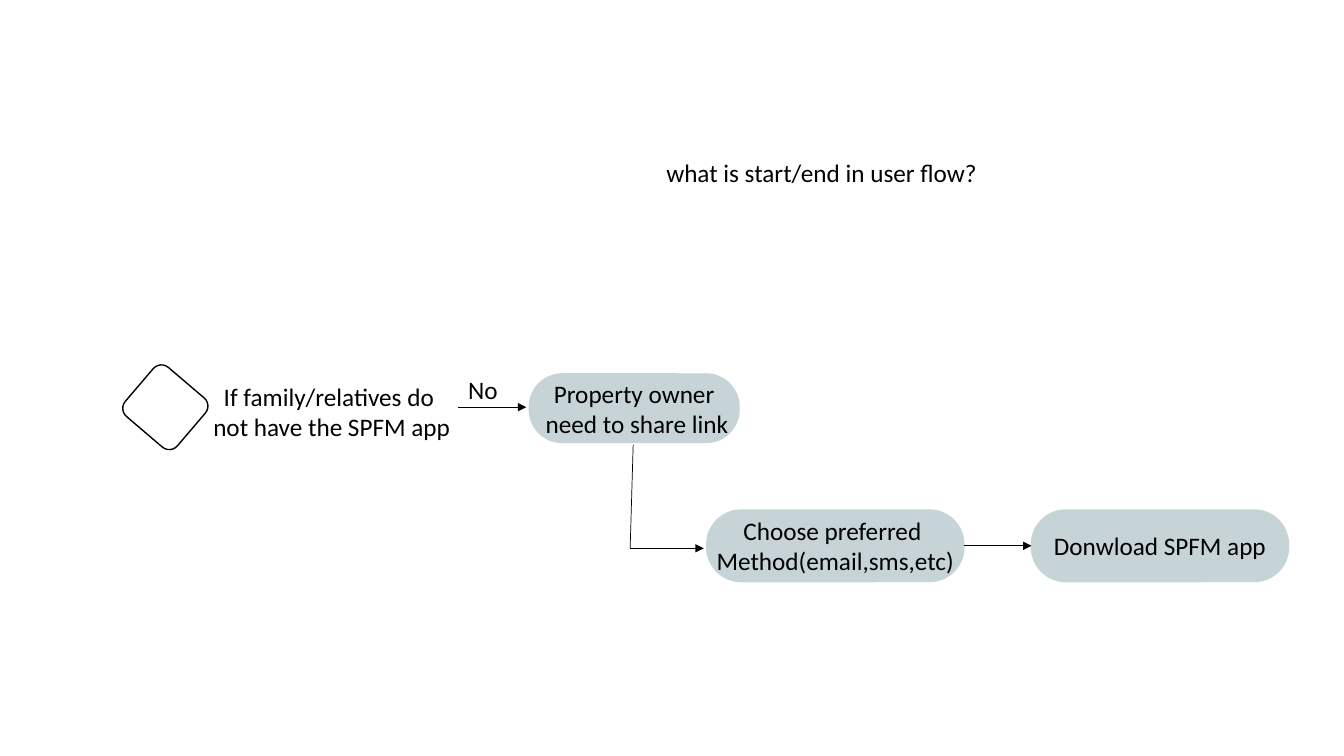
from dataclasses import dataclass

from lxml.etree import SubElement
from pptx import Presentation
from pptx.dml.color import RGBColor
from pptx.enum.shapes import MSO_CONNECTOR, MSO_SHAPE
from pptx.enum.text import MSO_ANCHOR, MSO_AUTO_SIZE, PP_ALIGN
from pptx.oxml.ns import qn
from pptx.util import Pt

EMU_PER_PX = 9144  # 100 px to the inch


@dataclass(frozen=True)
class Theme:
    ink: RGBColor = RGBColor(0x00, 0x00, 0x00)
    step: RGBColor = RGBColor(0xC6, 0xD4, 0xD7)
    font: str = "Calibri"
    text_size: Pt = Pt(18)
    outline: Pt = Pt(1)
    arrow: Pt = Pt(0.5)
    step_rounding: float = 0.48


THEME = Theme()


def px(*lengths):
    return [length * EMU_PER_PX for length in lengths]


def write_lines(text_frame, lines, alignment):
    text_frame.word_wrap = False
    for index, line in enumerate(lines):
        paragraph = text_frame.paragraphs[0] if index == 0 else text_frame.add_paragraph()
        paragraph.alignment = alignment
        run = paragraph.add_run()
        run.text = line
        run.font.name = THEME.font
        run.font.size = THEME.text_size
        run.font.color.rgb = THEME.ink


def add_label(slide, box, *lines, alignment=PP_ALIGN.CENTER):
    label = slide.shapes.add_textbox(*px(*box))
    write_lines(label.text_frame, lines, alignment)
    label.text_frame.auto_size = MSO_AUTO_SIZE.SHAPE_TO_FIT_TEXT


def add_rounded_box(slide, box, line_color):
    shape = slide.shapes.add_shape(MSO_SHAPE.ROUNDED_RECTANGLE, *px(*box))
    shape.shadow.inherit = False
    shape.line.color.rgb = line_color
    shape.line.width = THEME.outline
    return shape


def add_decision(slide, box, rotation):
    decision = add_rounded_box(slide, box, THEME.ink)
    decision.fill.background()
    decision.rotation = rotation


def add_step(slide, box, *lines):
    step = add_rounded_box(slide, box, THEME.step)
    step.adjustments[0] = THEME.step_rounding
    step.fill.solid()
    step.fill.fore_color.rgb = THEME.step
    step.text_frame.vertical_anchor = MSO_ANCHOR.MIDDLE
    write_lines(step.text_frame, lines, PP_ALIGN.CENTER)
    return step


def add_line(slide, start, end, arrow=True):
    connector = slide.shapes.add_connector(MSO_CONNECTOR.STRAIGHT, *px(*start, *end))
    connector.line.color.rgb = THEME.ink
    connector.line.width = THEME.arrow
    if arrow:
        SubElement(connector.line._get_or_add_ln(), qn("a:tailEnd"), type="triangle")
    SubElement(connector._element.spPr, qn("a:effectLst"))
    return connector


def main():
    presentation = Presentation()
    presentation.slide_width, presentation.slide_height = px(1333, 750)
    slide = presentation.slides.add_slide(presentation.slide_layouts[6])

    add_label(slide, (651, 151, 332, 40), "what is start/end in user flow?",
              alignment=PP_ALIGN.LEFT)

    add_decision(slide, (132, 370, 64, 68), 310.5)
    add_label(slide, (200, 373, 258, 71),
              "If family/relatives do ", "not have the SPFM app")
    add_line(slide, (454, 404), (522, 404))
    add_label(slide, (454, 366, 50, 40), "No")

    add_step(slide, (525, 371, 208, 68), "Property owner", " need to share link")
    corner = (625, 544)
    add_line(slide, (628, 441), corner, arrow=False)
    add_line(slide, corner, (698, 544))

    choose = add_step(slide, (701, 506, 255, 71),
                      "Choose preferred ", "Method(email,sms,etc)")
    download = add_step(slide, (1023, 506, 255, 71), "Donwload SPFM app")
    to_download = add_line(slide, (956, 542), (1023, 542))
    to_download.begin_connect(choose, 3)
    to_download.end_connect(download, 1)

    presentation.save("out.pptx")


if __name__ == "__main__":
    main()
